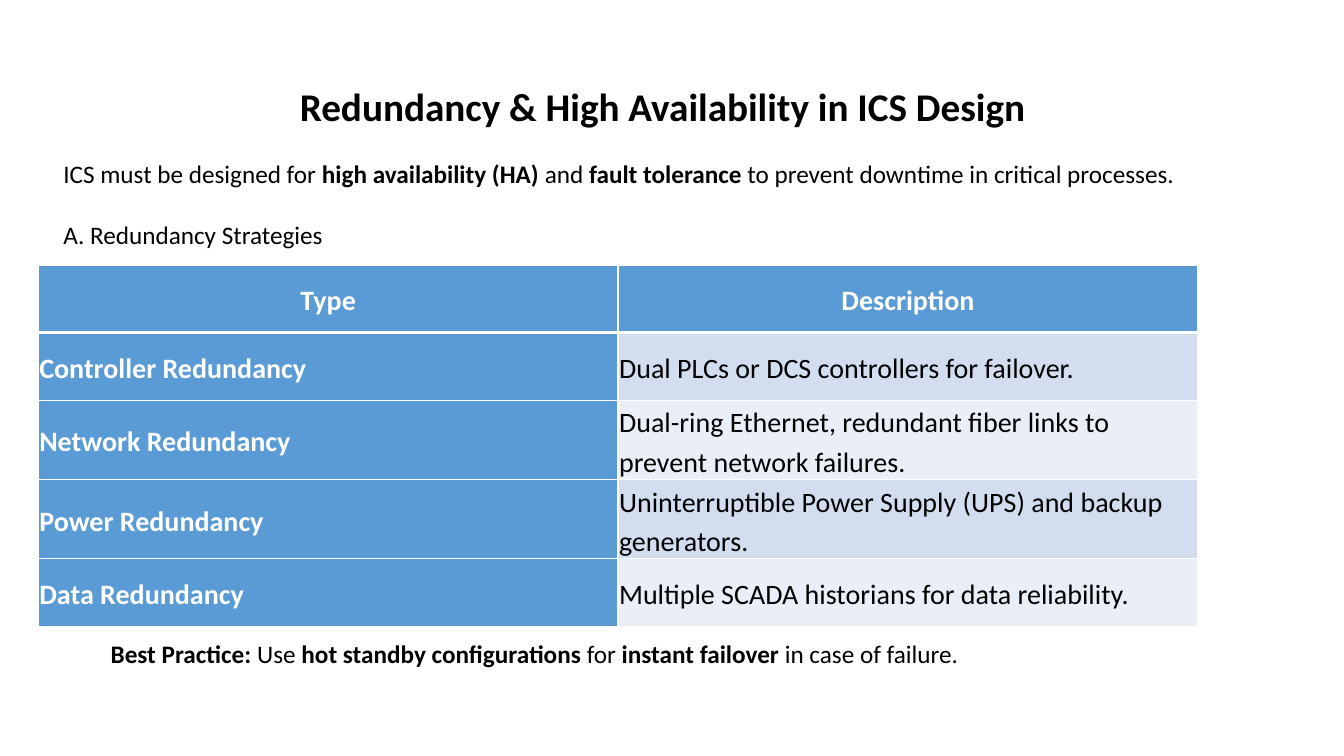
from pptx import Presentation
from pptx.dml.color import RGBColor
from pptx.enum.text import MSO_ANCHOR, PP_ALIGN
from pptx.oxml import parse_xml
from pptx.oxml.ns import nsdecls
from pptx.util import Inches, Pt

LEFT, CENTER = PP_ALIGN.LEFT, PP_ALIGN.CENTER
TOP, MIDDLE, BOTTOM = MSO_ANCHOR.TOP, MSO_ANCHOR.MIDDLE, MSO_ANCHOR.BOTTOM


def color(value):
    return RGBColor.from_string(value)


class Page:
    """Slide with one shared style and a method for each kind of element."""

    font = "Calibri"
    ink = "000000"
    white = "FFFFFF"
    accent = "5B9BD5"
    bands = ("D2DEEF", "EAEFF7")

    def __init__(self, deck):
        self.slide = deck.slides.add_slide(deck.slide_layouts[6])

    def style(self, para, size, ink, bold=None, align=LEFT):
        para.alignment = align
        para.font.name = self.font
        para.font.size = Pt(size)
        para.font.bold = bold
        para.font.color.rgb = color(ink)

    def text(self, place, paragraphs, size=18, bold=None, align=LEFT,
             anchor=TOP, line_spacing=None, gap=0):
        box = self.slide.shapes.add_textbox(*map(Inches, place))
        frame = box.text_frame
        frame.word_wrap = True
        frame.vertical_anchor = anchor
        for index, spans in enumerate(paragraphs):
            para = frame.add_paragraph() if index else frame.paragraphs[0]
            self.style(para, size, self.ink, bold, align)
            para.line_spacing = line_spacing
            if index:
                para.space_before = Pt(gap)
            for words, strong in spans:
                span = para.add_run()
                span.text = words
                if strong:
                    span.font.bold = True

    def borders(self, cell, top, bottom):
        properties = cell._tc.get_or_add_tcPr()
        for side, width in zip("LRTB", (1, 1, top, bottom)):
            properties.append(parse_xml(
                f'<a:ln{side} {nsdecls("a")} w="{Pt(width)}"><a:solidFill>'
                f'<a:srgbClr val="{self.white}"/></a:solidFill></a:ln{side}>'))

    def cell(self, cell, words, row, column):
        heading = row == 0 or column == 0
        cell.margin_left = cell.margin_right = Inches(0.01)
        cell.margin_top = cell.margin_bottom = Inches(0.01)
        cell.vertical_anchor = MIDDLE
        self.borders(cell, 3 if row == 1 else 1, 3 if row == 0 else 1)
        cell.fill.solid()
        cell.fill.fore_color.rgb = color(
            self.accent if heading else self.bands[(row - 1) % 2])
        cell.text = words
        para = cell.text_frame.paragraphs[0]
        self.style(para, 20, self.white if heading else self.ink, heading,
                   LEFT if row else CENTER)
        para.line_spacing = 1.15
        para.space_after = Pt(10)

    def table(self, place, rows, heights):
        table = self.slide.shapes.add_table(
            len(rows), len(rows[0]), *map(Inches, place)).table
        table.first_col = True
        for row, (words, height) in enumerate(zip(rows, heights)):
            table.rows[row].height = Inches(height)
            for column, content in enumerate(words):
                self.cell(table.cell(row, column), content, row, column)


def main():
    deck = Presentation()
    deck.slide_width, deck.slide_height = Inches(13.33), Inches(7.5)
    page = Page(deck)
    page.text((1.57, 0.45, 10, 0.89),
              [[("Redundancy & High Availability in ICS Design", True)]],
              size=28, bold=True, align=CENTER, anchor=BOTTOM,
              line_spacing=0.9)
    page.text((0.53, 1.52, 11.52, 1.31), [
        [("ICS must be designed for ", False),
         ("high availability (HA)", True),
         (" and ", False),
         ("fault tolerance", True),
         (" to prevent downtime in critical processes.", False)],
        [("A. Redundancy Strategies", False)],
    ], gap=22)
    page.text((1, 6.28, 9.54, 0.4), [
        [("Best Practice:", True),
         (" Use ", False),
         ("hot standby configurations", True),
         (" for ", False),
         ("instant failover", True),
         (" in case of failure.", False)],
    ])
    page.table((0.38, 2.63, 11.5, 3.49), [
        ("Type", "Description"),
        ("Controller Redundancy",
         "Dual PLCs or DCS controllers for failover."),
        ("Network Redundancy",
         "Dual-ring Ethernet, redundant fiber links to prevent network "
         "failures."),
        ("Power Redundancy",
         "Uninterruptible Power Supply (UPS) and backup generators."),
        ("Data Redundancy",
         "Multiple SCADA historians for data reliability."),
    ], (0.67, 0.67, 0.74, 0.74, 0.67))
    deck.save("out.pptx")


if __name__ == "__main__":
    main()
